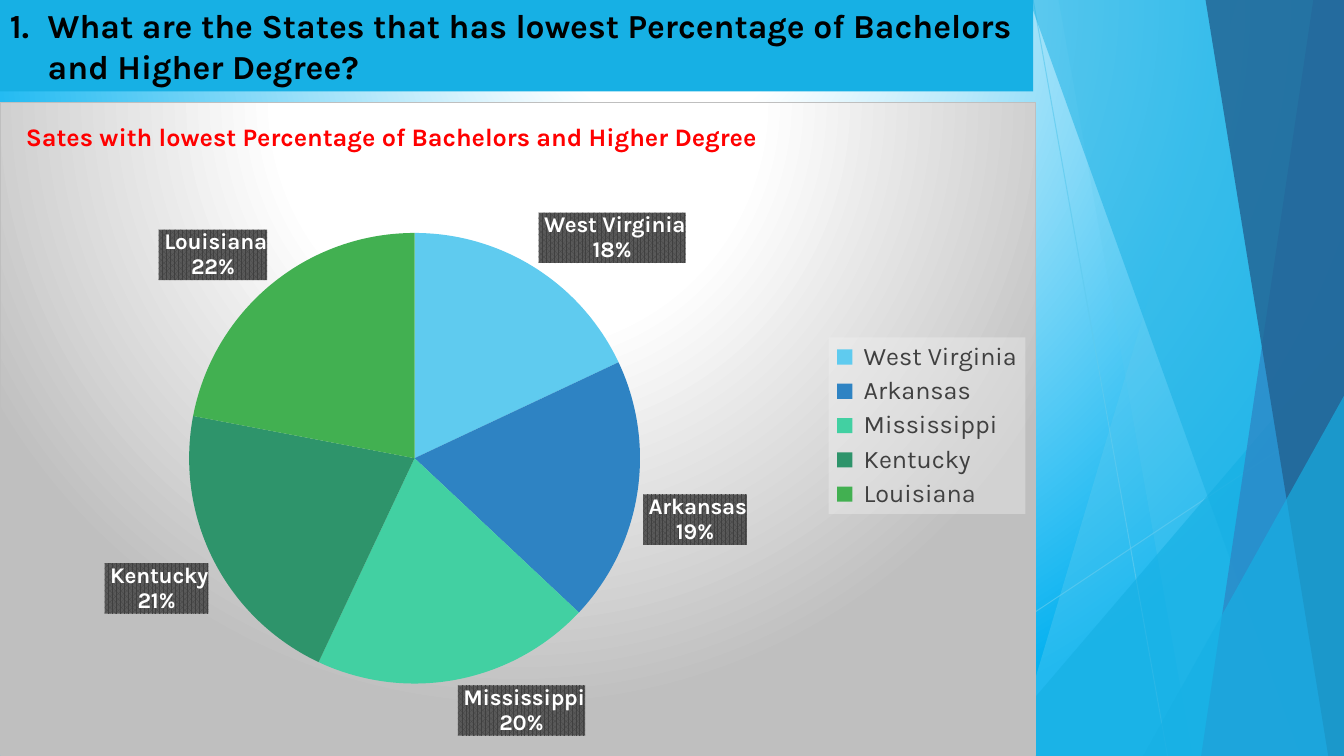
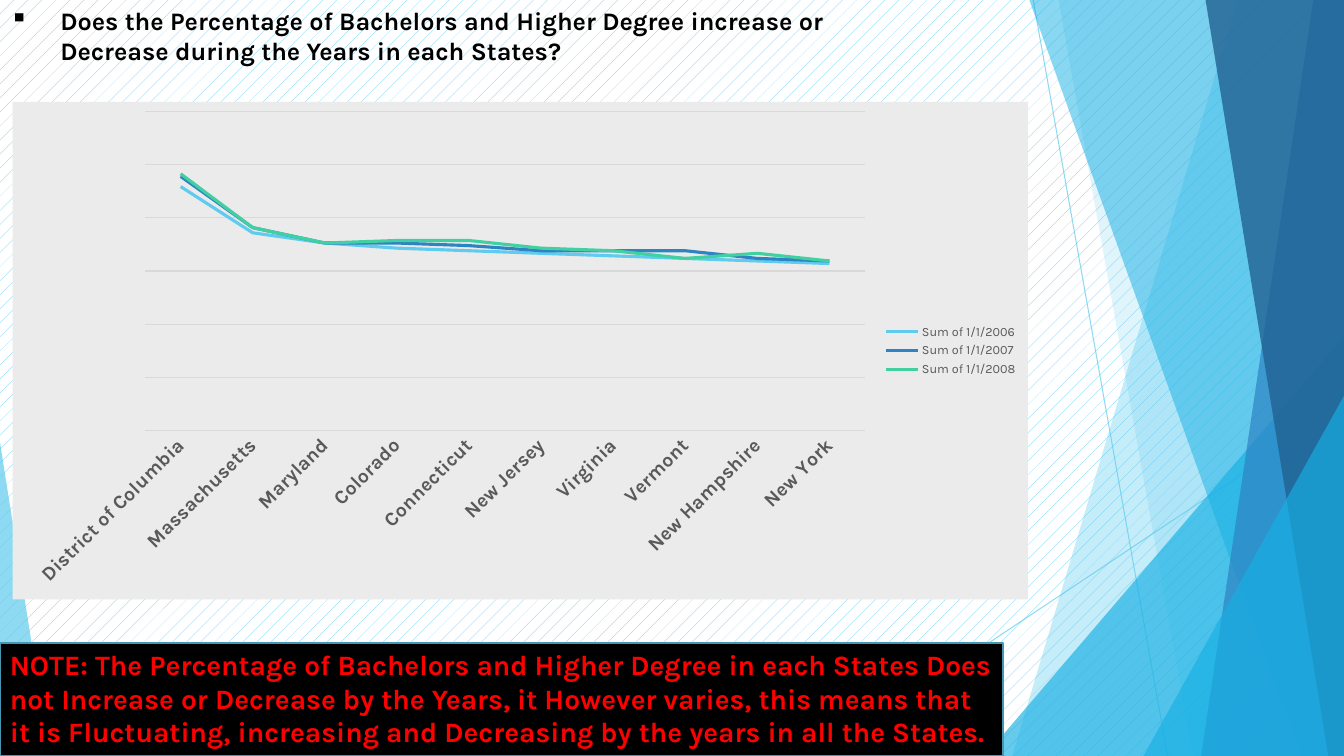
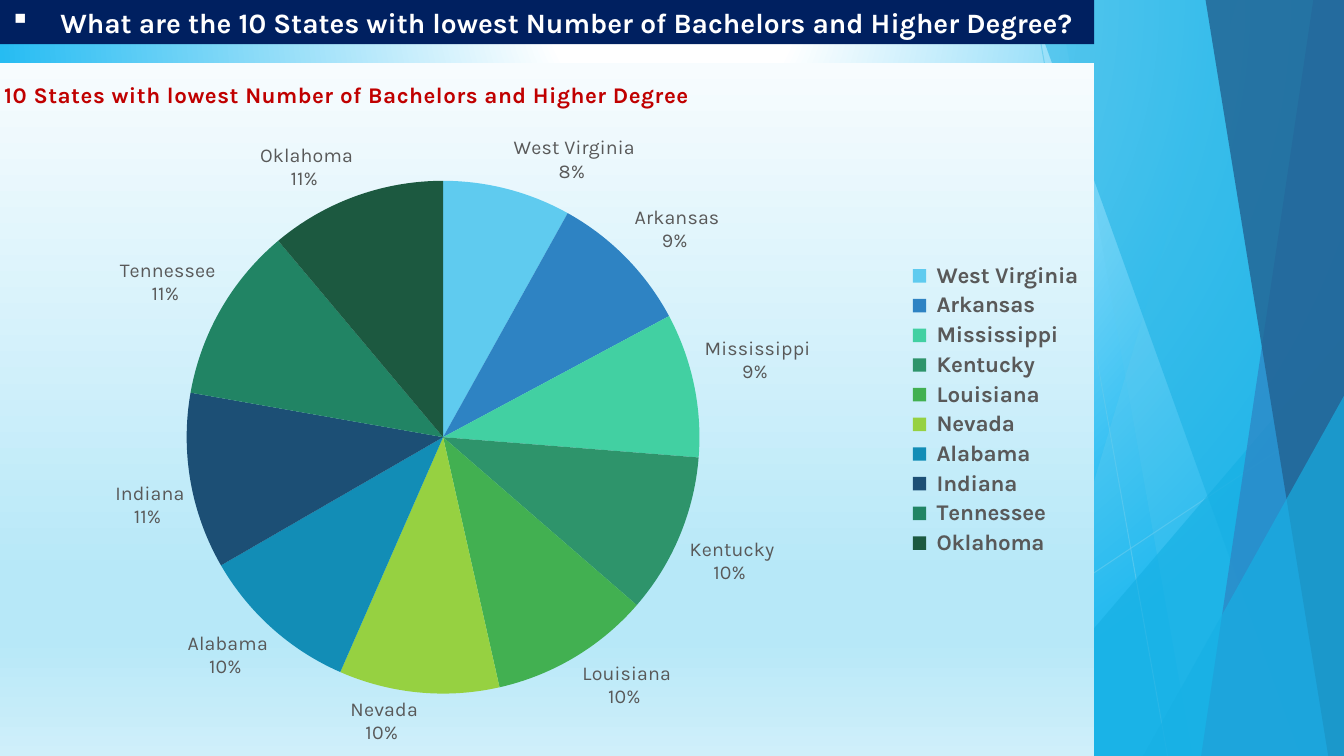
from pptx import Presentation
from pptx.chart.data import CategoryChartData
from pptx.dml.color import RGBColor
from pptx.enum.chart import XL_CHART_TYPE, XL_LABEL_POSITION, XL_LEGEND_POSITION, XL_TICK_MARK
from pptx.enum.dml import MSO_PATTERN
from pptx.enum.shapes import MSO_CONNECTOR, MSO_SHAPE
from pptx.enum.text import MSO_ANCHOR, PP_ALIGN
from pptx.oxml import parse_xml
from pptx.oxml.ns import nsdecls, qn
from pptx.util import Pt

PX = 9525
WIDTH, HEIGHT = 1280, 720
FONT = "Karla"

PIE, LINE = XL_CHART_TYPE.PIE, XL_CHART_TYPE.LINE
OUTSIDE_END = XL_LABEL_POSITION.OUTSIDE_END
LEGEND_RIGHT = XL_LEGEND_POSITION.RIGHT
NO_TICK = XL_TICK_MARK.NONE
DOTS = MSO_PATTERN.PERCENT_5
STRAIGHT = MSO_CONNECTOR.STRAIGHT
RECTANGLE, TRIANGLE = MSO_SHAPE.RECTANGLE, MSO_SHAPE.ISOSCELES_TRIANGLE
TOP, MIDDLE = MSO_ANCHOR.TOP, MSO_ANCHOR.MIDDLE
LEFT = PP_ALIGN.LEFT

SKY, CYAN, BLUE, NAVY = "5FCBEF", "17B0E4", "2E83C3", "226292"
MINT, BLACK, WHITE, RED = "42D0A2", "000000", "FFFFFF", "FF0000"
GREY, SILVER, RULE = "595959", "BFBFBF", "D9D9D9"
SLICES = [SKY, BLUE, MINT, "2E946B", "42B051", "96D141", "128DB6", "1C4F75", "218464", "1C5940"]

CIRCLE = ('<a:path path="circle"><a:fillToRect l="50000" t="-80000" '
          'r="50000" b="180000"/></a:path>')
DOWNWARD = '<a:lin ang="5400000" scaled="0"/>'
NUMBERED = '<a:buFont {} typeface="+mj-lt"/>', '<a:buAutoNum {} type="arabicPeriod"/>'
SQUARE = ('<a:buChar {} char="▪"/>',)

LOWEST_STATES = ["West Virginia", "Arkansas", "Mississippi", "Kentucky", "Louisiana",
                 "Nevada", "Alabama", "Indiana", "Tennessee", "Oklahoma"]
HIGHEST_STATES = ["District of Columbia", "Massachusetts", "Maryland", "Colorado",
                  "Connecticut", "New Jersey", "Virginia", "Vermont", "New Hampshire",
                  "New York"]
YEARS = {
    "Sum of 1/1/2006": (SKY, [95, 77, 73, 71, 70, 69, 68, 67, 66, 65]),
    "Sum of 1/1/2007": (BLUE, [99, 79, 73, 73, 72, 70, 70, 70, 67, 66]),
    "Sum of 1/1/2008": (MINT, [100, 79, 73, 74, 74, 71, 70, 67, 69, 66]),
}


def px(*lengths):
    return [length * PX for length in lengths]


def rgb(color):
    return RGBColor.from_string(color)


def format_font(font, size, color, bold=False):
    for name, value in {"name": FONT, "size": Pt(size), "bold": bold}.items():
        setattr(font, name, value)
    font.color.rgb = rgb(color)


def format_line(line, color, width):
    line.color.rgb = rgb(color)
    line.width = Pt(width)


def solid_xml(color, alpha=100):
    return (f'<a:solidFill><a:srgbClr val="{color}"><a:alpha val="{alpha * 1000}"/>'
            '</a:srgbClr></a:solidFill>')


def gradient_xml(stops, direction):
    marks = "".join(f'<a:gs pos="{position * 1000}"><a:srgbClr val="{color}"/></a:gs>'
                    for position, color in stops)
    return (f'<a:gradFill {nsdecls("a")} rotWithShape="1"><a:gsLst>{marks}</a:gsLst>'
            f'{direction}</a:gradFill>')


def line_xml(color=None, width=0.75):
    if color is None:
        return "<a:ln><a:noFill/></a:ln>"
    return f'<a:ln w="{Pt(width)}">{solid_xml(color)}</a:ln>'


def set_alpha(shape, percent):
    for color in shape.element.xpath("p:spPr//a:srgbClr"):
        color.append(parse_xml(f'<a:alpha {nsdecls("a")} val="{percent * 1000}"/>'))


def fill_shape(shape, color, alpha=None):
    shape.shadow.inherit = False
    shape.fill.solid()
    shape.fill.fore_color.rgb = rgb(color)
    shape.line.fill.background()
    if alpha:
        set_alpha(shape, alpha)


def add_ray(shapes, *ends):
    ray = shapes.add_connector(STRAIGHT, *px(*ends))
    format_line(ray.line, SKY, 0.75)
    set_alpha(ray, 70)
    ray.element.spPr.append(parse_xml(f'<a:effectLst {nsdecls("a")}/>'))


def add_facet(shapes, top, bottom, color, alpha):
    builder = shapes.build_freeform(top, -1, scale=PX)
    builder.add_line_segments([(WIDTH, -1), (WIDTH, HEIGHT), (bottom, HEIGHT)])
    fill_shape(builder.convert_to_shape(), color, alpha)


def add_triangle(shapes, box, apex, color, alpha):
    triangle = shapes.add_shape(TRIANGLE, *px(*box))
    triangle.adjustments[0] = apex
    fill_shape(triangle, color, alpha)


def add_facets(slide):
    shapes = slide.shapes.add_group_shape().shapes
    add_ray(shapes, 984, 0, 1112, HEIGHT)
    add_ray(shapes, WIDTH, 387, 780, HEIGHT)
    add_facet(shapes, 1179, 964, SKY, 36)
    add_facet(shapes, 1008, 1136, SKY, 20)
    add_triangle(shapes, (938, 320, 342, 400), 1, CYAN, 66)
    add_facet(shapes, 980, 1239, CYAN, 50)
    add_facet(shapes, 1251, 1144, BLUE, 70)
    add_facet(shapes, 1148, 1265, NAVY, 80)
    add_triangle(shapes, (1089, 377, 191, 343), 1, CYAN, 66)
    add_triangle(shapes, (0, 421, 47, 299), 0, SKY, 70)


def add_slide(presentation, patterned=False):
    slide = presentation.slides.add_slide(presentation.slide_layouts[6])
    fill = slide.background.fill
    if patterned:
        fill.patterned()
        fill.pattern = DOTS
        fill.fore_color.rgb = rgb(SKY)
        fill.back_color.rgb = rgb(WHITE)
    else:
        fill.solid()
        solid = slide.element.xpath("p:cSld/p:bg/p:bgPr/a:solidFill")[0]
        gradient = parse_xml(gradient_xml([(16, WHITE), (100, "00B0F0")], CIRCLE))
        solid.getparent().replace(solid, gradient)
    add_facets(slide)
    return slide


def write_text(shape, text, size, color, bullet=(), indent=0, anchor=TOP):
    frame = shape.text_frame
    frame.word_wrap = True
    frame.vertical_anchor = anchor
    paragraph = frame.paragraphs[0]
    paragraph.alignment = LEFT
    run = paragraph.add_run()
    run.text = text
    format_font(run.font, size, color, bold=True)
    if bullet:
        properties = paragraph._p.get_or_add_pPr()
        properties.set("marL", str(indent * PX))
        properties.set("indent", str(-indent * PX))
        for markup in bullet:
            properties.append(parse_xml(markup.format(nsdecls("a"))))


def add_band(slide, box, color):
    band = slide.shapes.add_shape(RECTANGLE, *px(*box))
    fill_shape(band, color)
    return band


def add_text(slide, box, *content, **layout):
    write_text(slide.shapes.add_textbox(*px(*box)), *content, **layout)


def set_layout(parent, index, target=None, **fractions):
    for layout in parent.findall(qn("c:layout")):
        parent.remove(layout)
    parts = f'<c:layoutTarget val="{target}"/>' if target else ""
    parts += '<c:xMode val="edge"/><c:yMode val="edge"/>'
    parts += "".join(f'<c:{name} val="{value}"/>' for name, value in fractions.items())
    parent.insert(index, parse_xml(
        f'<c:layout {nsdecls("c")}><c:manualLayout>{parts}</c:manualLayout></c:layout>'))


def set_surface(parent, markup):
    parent.find(qn("c:txPr")).addprevious(
        parse_xml(f'<c:spPr {nsdecls("c", "a")}>{markup}</c:spPr>'))


def add_chart(slide, kind, box, states, series, surface, plot, legend):
    data = CategoryChartData()
    data.categories = [f" {state}" for state in states]
    for name, values in series.items():
        data.add_series(name, values)
    chart = slide.shapes.add_chart(kind, *px(*box), data).chart
    format_font(chart.font, 10, BLACK)
    chart.has_title = False
    chart.has_legend = True
    chart.legend.position = LEGEND_RIGHT
    chart.legend.include_in_layout = False
    format_font(chart.legend.font, *legend)
    set_surface(chart.element, surface)
    set_layout(chart.element.xpath("c:chart/c:plotArea")[0], 0, "inner", **plot)
    return chart


def add_chart_title(chart, text, size, color, x, y, spacing=0):
    chart.has_title = True
    frame = chart.chart_title.text_frame
    frame.text = text
    run = frame.paragraphs[0].runs[0]
    format_font(run.font, size, color, bold=True)
    chart.chart_title.include_in_layout = False
    title = chart.element.xpath("c:chart/c:title")[0]
    title.xpath(".//a:r/a:rPr")[0].set("spc", str(spacing))
    set_layout(title, 1, x=x, y=y)


def add_pie(slide, box, values, surface, plot, legend, label):
    states = LOWEST_STATES[:len(values)]
    chart = add_chart(slide, PIE, box, states, {"Series 1": values}, surface, plot, legend)
    chart.plots[0].vary_by_categories = True
    series = chart.plots[0].series[0]
    for index in range(len(values)):
        slice_format = series.points[index].format
        slice_format.fill.solid()
        slice_format.fill.fore_color.rgb = rgb(SLICES[index])
        slice_format.line.fill.background()
    labels = series.data_labels
    settings = {"show_value": False, "show_percentage": True, "show_category_name": True,
                "number_format": "0%", "number_format_is_linked": False,
                "position": OUTSIDE_END}
    for name, value in settings.items():
        setattr(labels, name, value)
    format_font(labels.font, *label)
    last_flag = chart.element.xpath(".//c:ser/c:dLbls/c:showBubbleSize")[0]
    last_flag.addnext(parse_xml(f'<c:separator {nsdecls("c")}>\n</c:separator>'))
    return chart


def add_year_lines(slide):
    chart = add_chart(
        slide, LINE, (12, 97, 967, 474), HIGHEST_STATES,
        {name: values for name, (color, values) in YEARS.items()},
        solid_xml("EBEBEB") + line_xml(),
        {"x": 0.13, "y": 0.02, "w": 0.71, "h": 0.64}, (9, GREY))
    chart.plots[0].vary_by_categories = False
    for series in chart.plots[0].series:
        series.smooth = False
        format_line(series.format.line, YEARS[series.name][0], 2.25)
    value_axis = chart.value_axis
    scale = {"minimum_scale": 0, "maximum_scale": 124.2, "major_unit": 20.7,
             "has_major_gridlines": True, "visible": False}
    for name, value in scale.items():
        setattr(value_axis, name, value)
    format_line(value_axis.major_gridlines.format.line, RULE, 0.75)
    category_axis = chart.category_axis
    category_axis.major_tick_mark = NO_TICK
    format_line(category_axis.format.line, RULE, 0.75)
    format_font(category_axis.tick_labels.font, 14, GREY, bold=True)
    chart.element.xpath(".//c:catAx/c:txPr/a:bodyPr")[0].set("rot", "-2700000")


def build_lowest_percentage(presentation):
    slide = add_slide(presentation)
    surface = gradient_xml([(0, WHITE), (39, WHITE), (100, SILVER)], CIRCLE)
    chart = add_pie(
        slide, (0, 97, 987, 623), [18, 19, 20, 21, 22], surface + line_xml(SILVER),
        {"x": 0.18, "y": 0.2, "w": 0.44, "h": 0.69}, (18, "404040"), (16, WHITE, True))
    add_chart_title(chart, "Sates with lowest Percentage of Bachelors and Higher Degree",
                    18, RED, 0.02, 0.02)
    legend = chart.element.xpath("c:chart/c:legend")[0]
    set_layout(legend, 1, x=0.8, y=0.36, w=0.19, h=0.27)
    set_surface(legend, solid_xml("F2F2F2", 39) + line_xml())
    set_surface(chart.element.xpath(".//c:ser/c:dLbls")[0],
                '<a:pattFill prst="pct75"><a:fgClr><a:srgbClr val="404040"/></a:fgClr>'
                f'<a:bgClr><a:srgbClr val="{GREY}"/></a:bgClr></a:pattFill>' + line_xml())
    write_text(add_band(slide, (0, 0, 984, 87), CYAN),
               "What are the States that has lowest Percentage of Bachelors and Higher Degree?",
               24, BLACK, bullet=NUMBERED, indent=36, anchor=MIDDLE)


def build_yearly_change(presentation):
    slide = add_slide(presentation, patterned=True)
    note_box = (0, 612, 955, 108)
    format_line(add_band(slide, note_box, BLACK).line, "4696B1", 1.5)
    add_year_lines(slide)
    add_text(slide, (0, 0, 843, 68),
             "Does the Percentage of Bachelors and Higher Degree increase or Decrease "
             "during the Years in each States?",
             18, BLACK, bullet=SQUARE, indent=48)
    add_text(slide, note_box,
             "NOTE: The Percentage of Bachelors and Higher Degree in each States Does not "
             "Increase or Decrease by the Years, it However varies, this means that it is "
             "Fluctuating, increasing and Decreasing by the years in all the States.",
             20, RED)


def build_lowest_number(presentation):
    slide = add_slide(presentation)
    surface = gradient_xml(
        [(0, "F7FCFE"), (74, "B7E8F8"), (83, "B7E8F8"), (100, "CFEFFA")], DOWNWARD)
    chart = add_pie(
        slide, (0, 60, 1042, 660), [8, 9, 9, 10, 10, 10, 10, 11, 11, 11],
        surface + line_xml(), {"x": 0.17, "y": 0.17, "w": 0.47, "h": 0.74},
        (16, GREY, True), (14, GREY))
    add_chart_title(chart, "10 States with lowest Number of Bachelors and Higher Degree",
                    16, "C00000", 0, 0.02, spacing=50)
    write_text(add_band(slide, (0, 0, 1042, 42), "002060"),
               "What are the 10 States with lowest Number of Bachelors and Higher Degree?",
               20, WHITE, bullet=SQUARE, indent=48, anchor=MIDDLE)


def main():
    presentation = Presentation()
    presentation.slide_width, presentation.slide_height = px(WIDTH, HEIGHT)
    build_lowest_percentage(presentation)
    build_yearly_change(presentation)
    build_lowest_number(presentation)
    presentation.save("out.pptx")


if __name__ == "__main__":
    main()
